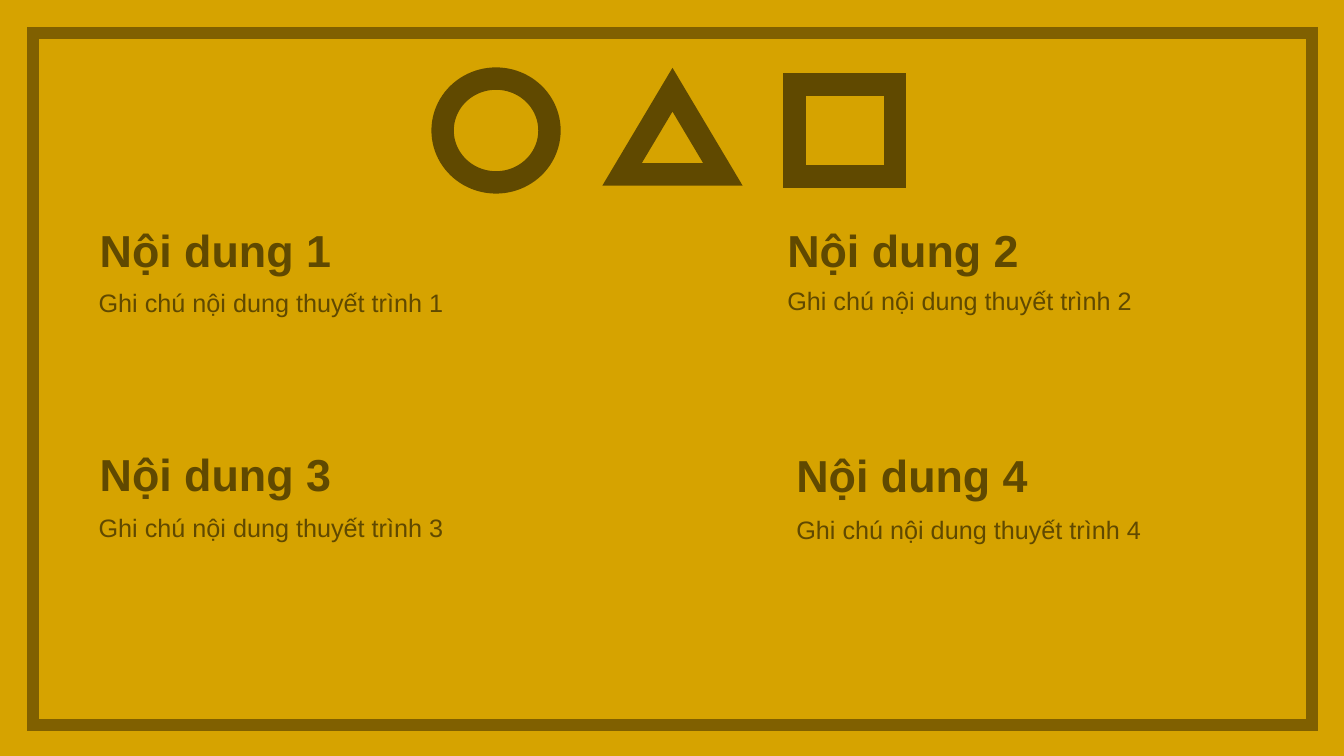
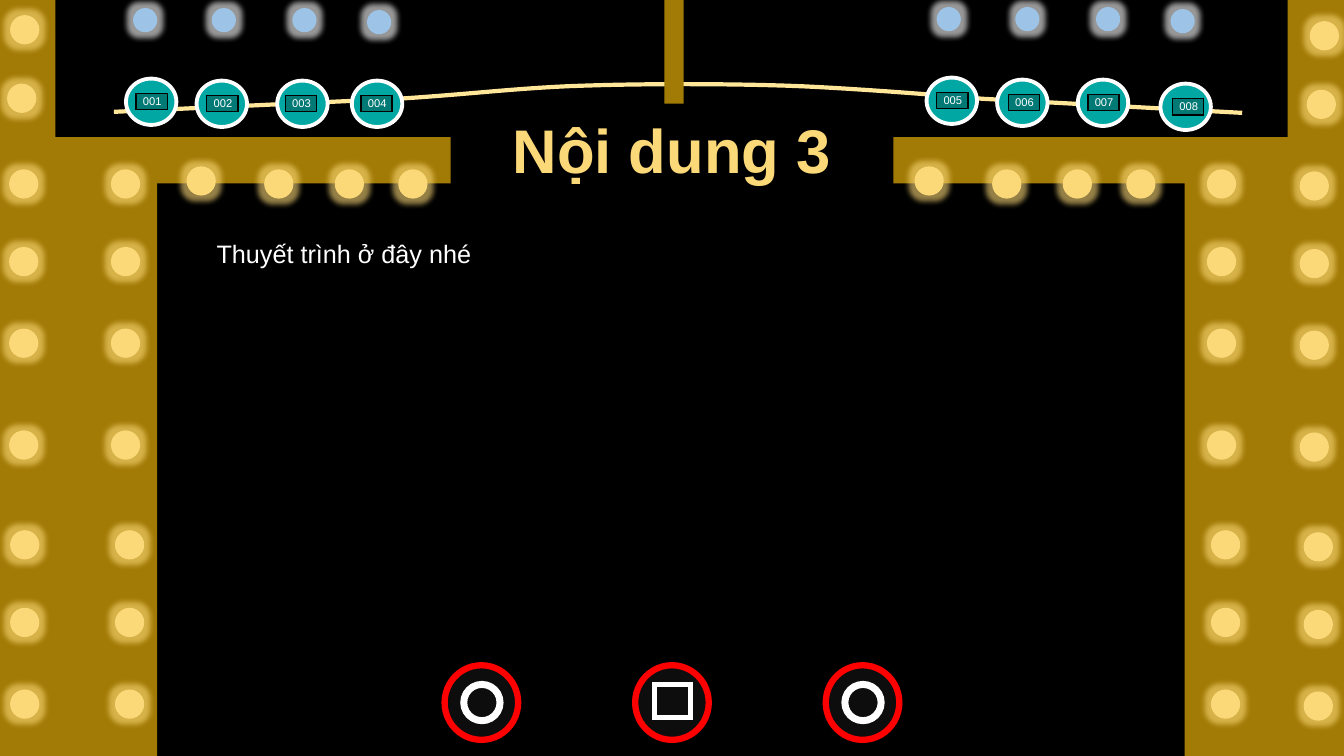
from pptx import Presentation
from pptx.dml.color import RGBColor
from pptx.enum.shapes import MSO_SHAPE as Shape
from pptx.enum.text import MSO_ANCHOR as Anchor, MSO_AUTO_SIZE as AutoSize, PP_ALIGN as Align
from pptx.oxml.ns import qn
from pptx.util import Inches, Pt
from lxml.etree import SubElement

WIDTH, HEIGHT = 13.33, 7.5
TITLE_ONLY, BLANK = 5, 6
FONT = "Arial"
COLORS = {
    "mustard": "D6A300", "border": "806000", "ink": "604900",
    "black": "000000", "white": "FFFFFF", "bronze": "A27B06",
    "rope": "FFE699", "gold": "FCD978", "blue": "9DC3E6",
    "teal": "01A7A3", "plate": "017975", "button": "0D0D0D", "red": "FF0000",
}

SYMBOLS = [
    (Shape.OVAL, (4.39, 0.78, 1.06, 1.03)),
    (Shape.ISOSCELES_TRIANGLE, (6.17, 0.89, 1, 0.84)),
    (Shape.RECTANGLE, (7.88, 0.84, 1, 0.91)),
]
SECTIONS = [
    ("Nội dung 1", "Ghi chú nội dung thuyết trình 1", (0.89, 2.16), (0.88, 2.8)),
    ("Nội dung 2", "Ghi chú nội dung thuyết trình 2", (7.71, 2.16), (7.71, 2.78)),
    ("Nội dung 3", "Ghi chú nội dung thuyết trình 3", (0.89, 4.38), (0.88, 5.03)),
    ("Nội dung 4", "Ghi chú nội dung thuyết trình 4", (7.8, 4.39), (7.8, 5.05)),
]

STAGE_TITLE = "Nội dung 3"
STAGE_BODY = "Thuyết trình ở đây nhé"
PILLARS = [(0, 0.55, 1.56, 0.43), (WIDTH, 12.77, 11.75, 8.86)]
BEAM_TOP, BEAM_HEIGHT, STEP_TOP = 1.36, 0.46, 1.45
ROPE_ENDS = [(1.13, 1.11), (12.32, 1.12)]
ROPE_CURVES = [
    [(3.95, 0.98), (4.73, 0.93), (5.15, 0.87), (5.79, 0.85)],
    [(5.79, 0.85), (6.43, 0.83), (7.13, 0.83), (7.79, 0.85)],
    [(7.79, 0.85), (8.45, 0.87), (9.74, 0.98), (9.74, 0.98)],
]
BADGES = [
    ("001", 1.25, 0.78, 0.1), ("002", 1.95, 0.8, 0.1),
    ("003", 2.75, 0.8, 0.08), ("004", 3.49, 0.8, 0.09),
    ("005", 9.19, 0.77, 0.1), ("006", 9.89, 0.79, 0.11),
    ("007", 10.69, 0.79, 0.1), ("008", 11.51, 0.83, 0.12),
]
BUTTON_LEFT, BUTTON_TOP, BUTTON_GAP = 4.41, 6.6, 1.89
BUTTONS = [
    (Shape.OVAL, 0.36, "button", 5),
    (Shape.RECTANGLE, 0.33, None, 3.5),
    (Shape.OVAL, 0.36, "button", 5),
]
UPPER_ROWS, LOWER_ROWS = (1.68, 2.45, 3.26, 4.27), (5.26, 6.03, 6.84)
BULB_COLUMNS = [(0.09, 0.1, 0), (1.1, 1.14, 0), (11.97, 12.01, 0), (12.89, 12.93, 0.02)]
CORNER_BULBS = [(0.07, 0.83), (0.1, 0.15), (12.96, 0.89), (12.99, 0.21)]
BEAM_BULBS = [(0, 0), (0.77, 0.03), (1.47, 0.03), (2.1, 0.03)]
BEAM_STARTS = [(1.85, 1.65), (9.07, 1.65)]
LAMPS = [(0, 0), (0.78, 0), (1.58, 0), (2.32, 0.02)]
LAMP_STARTS = [(1.32, 0.08), (9.29, 0.07)]


def rgb(name):
    """Return the palette colour of that name."""
    return RGBColor.from_string(COLORS[name])


def paint(shape, fill=None, line=None, weight=1):
    """Give a shape its fill and outline and take away its shadow."""
    shape.shadow.inherit = False
    if fill:
        shape.fill.solid()
        shape.fill.fore_color.rgb = rgb(fill)
    else:
        shape.fill.background()
    if line:
        shape.line.color.rgb = rgb(line)
        shape.line.width = Pt(weight)
        SubElement(shape.line._ln, qn("a:miter"), lim="800000")
    else:
        shape.line.fill.background()
    return shape


def add_preset(shapes, kind, box, **style):
    """Add a painted preset shape."""
    return paint(shapes.add_shape(kind, *map(Inches, box)), **style)


def add_outline(shapes, points, closed, **style):
    """Add a painted freeform through the points."""
    start, *rest = [(Inches(x), Inches(y)) for x, y in points]
    builder = shapes.build_freeform(*start, scale=1.0)
    builder.add_line_segments(rest, close=closed)
    return paint(builder.convert_to_shape(), **style)


def write(shape, text, size, color, bold=False, align=Align.LEFT):
    """Put one formatted line of text into a shape."""
    frame = shape.text_frame
    for name, value in {"word_wrap": True, "auto_size": AutoSize.NONE,
                        "vertical_anchor": Anchor.TOP}.items():
        setattr(frame, name, value)
    para = frame.paragraphs[0]
    para.alignment = align
    span = para.add_run()
    span.text = text
    for name, value in {"name": FONT, "size": Pt(size), "bold": bold}.items():
        setattr(span.font, name, value)
    span.font.color.rgb = rgb(color)


def add_text(shapes, box, text, size, color, bold=False):
    """Add a text box."""
    write(shapes.add_textbox(*map(Inches, box)), text, size, color, bold)


def add_bulb(shapes, left, top, size, color, halo):
    """Add a round light with a soft glow."""
    bulb = add_preset(shapes, Shape.OVAL, (left, top, size, size), fill=color)
    effects = bulb._element.spPr.find(qn("a:effectLst"))
    glow = SubElement(effects, qn("a:glow"), rad=str(Pt(8)))
    tint = SubElement(glow, qn("a:srgbClr"), val=COLORS[halo])
    SubElement(tint, qn("a:alpha"), val="60000")


def bezier(points, steps=12):
    """Return points along a cubic curve."""
    def blend(t, a, b, c, d):
        """Mix four coordinates at share t."""
        u = 1 - t
        return u**3 * a + 3 * u * u * t * b + 3 * u * t * t * c + t**3 * d

    return [tuple(blend(i / steps, *axis) for axis in zip(*points)) for i in range(steps + 1)]


def new_page(deck, layout, color):
    """Add a slide with a plain background."""
    page = deck.slides.add_slide(deck.slide_layouts[layout])
    page.background.fill.solid()
    page.background.fill.fore_color.rgb = rgb(color)
    return page


def build_contents(deck):
    """Build the slide of four sections."""
    shapes = new_page(deck, BLANK, "mustard").shapes
    add_preset(shapes, Shape.RECTANGLE, (0.33, 0.33, 12.68, 6.86), line="border", weight=8.5)
    for kind, box in SYMBOLS:
        add_preset(shapes, kind, box, line="ink", weight=16)
    for heading, note, heading_at, note_at in SECTIONS:
        group = shapes.add_group_shape().shapes
        add_text(group, (*heading_at, 2.59, 0.64), heading, 32, "ink", bold=True)
        add_text(group, (*note_at, 4.11, 0.4), note, 18, "ink")


def add_pillars(shapes):
    """Add the stepped side walls with their beams."""
    for outer, step, inner, beam_left in PILLARS:
        group = shapes.add_group_shape().shapes
        wall = [(outer, 0), (step, 0), (step, STEP_TOP), (inner, STEP_TOP),
                (inner, HEIGHT), (outer, HEIGHT)]
        add_outline(group, wall, True, fill="bronze")
        add_preset(group, Shape.RECTANGLE, (beam_left, BEAM_TOP, 4.04, BEAM_HEIGHT), fill="bronze")


def add_badges(shapes):
    """Add the numbered badges on the rope."""
    for number, left, top, inset in BADGES:
        group = shapes.add_group_shape().shapes
        x, y = left + inset, top + 0.15
        add_preset(group, Shape.OVAL, (left, top, 0.5, 0.46), fill="teal", line="white", weight=2.75)
        add_preset(group, Shape.RECTANGLE, (x, y, 0.31, 0.16), fill="plate", line="black")
        add_text(group, (x - 0.03, y - 0.04, 0.47, 0.24), number, 8, "white")


def add_buttons(shapes):
    """Add the row of round buttons."""
    for index, (kind, height, fill, weight) in enumerate(BUTTONS):
        group = shapes.add_group_shape().shapes
        left = BUTTON_LEFT + index * BUTTON_GAP
        add_preset(group, Shape.OVAL, (left, BUTTON_TOP, 0.73, 0.74),
                   fill="button", line="red", weight=4.5)
        add_preset(group, kind, (left + 0.19, BUTTON_TOP + 0.19, 0.36, height),
                   fill=fill, line="white", weight=weight)


def add_lights(shapes):
    """Add the gold bulbs and the blue lamps."""
    bulbs = [(x + dx, y + dy) for x, y in BEAM_STARTS for dx, dy in BEAM_BULBS]
    for upper, lower, drop in BULB_COLUMNS:
        bulbs += [(upper, y + drop) for y in UPPER_ROWS]
        bulbs += [(lower, y + drop) for y in LOWER_ROWS]
    for left, top in bulbs + CORNER_BULBS:
        add_bulb(shapes, left, top, 0.29, "gold", "gold")
    for x, y in LAMP_STARTS:
        for dx, dy in LAMPS:
            add_bulb(shapes, x + dx, y + dy, 0.24, "blue", "white")


def build_stage(deck):
    """Build the stage slide."""
    shapes = new_page(deck, TITLE_ONLY, "black").shapes
    title = shapes.title
    for name, value in zip(("left", "top", "width", "height"), (4.95, 1.06, 3.43, 0.84)):
        setattr(title, name, Inches(value))
    write(title, STAGE_TITLE, 44, "gold", bold=True, align=Align.CENTER)
    add_pillars(shapes)
    curve = [point for part in ROPE_CURVES for point in bezier(part)]
    add_outline(shapes, [ROPE_ENDS[0], *curve, ROPE_ENDS[1]], False, line="rope", weight=3)
    add_badges(shapes)
    add_buttons(shapes)
    add_lights(shapes)
    add_preset(shapes, Shape.RECTANGLE, (6.59, 0, 0.19, 1.03), fill="bronze")
    add_text(shapes, (2.05, 2.32, 9.07, 0.4), STAGE_BODY, 18, "white")


def main():
    """Build and save the deck."""
    deck = Presentation()
    deck.slide_width, deck.slide_height = Inches(WIDTH), Inches(HEIGHT)
    build_contents(deck)
    build_stage(deck)
    deck.save("out.pptx")


if __name__ == "__main__":
    main()
